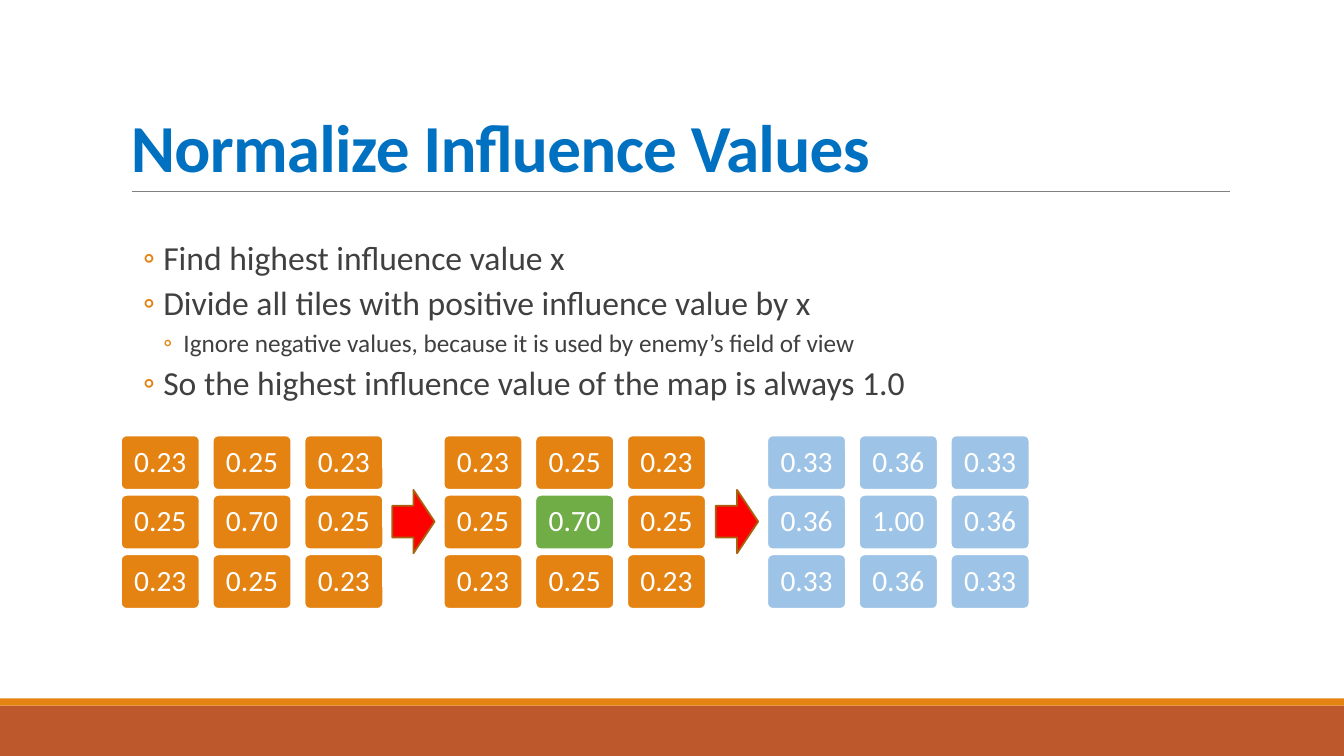
"""Build the slide that explains how influence values are normalized."""
from typing import NamedTuple

import pptx
import pptx.dml.color
import pptx.enum.shapes
import pptx.enum.text
import pptx.oxml
import pptx.oxml.ns
import pptx.util
from pptx.util import Inches

FONT = "Calibri"
ORANGE = "E48312"
RUST = "BD582C"
GREEN = "70AD47"
LIGHT_BLUE = "9DC3E6"
WHITE = "FFFFFF"

TILE_WIDTH, TILE_HEIGHT = 0.78, 0.54
COLUMN_STEP, ROW_STEP = 0.91, 0.59
GRID_TOP = 4.32


class Box(NamedTuple):
    left: float
    top: float
    width: float
    height: float


class Bullet(NamedTuple):
    text: str
    size: float = 24
    indent: float = 0.42


class Grid(NamedTuple):
    left: float
    corner: str
    edge: str
    center: str
    color: str
    center_color: str


BARS = [(Box(0, 7, 13.33, 0.5), RUST), (Box(0, 6.93, 13.33, 0.07), ORANGE)]
BULLETS = [
    Bullet("Find highest influence value x"),
    Bullet("Divide all tiles with positive influence value by x"),
    Bullet("Ignore negative values, because it is used by enemy’s field of view", 18, 0.62),
    Bullet("So the highest influence value of the map is always 1.0"),
]
GRIDS = [
    Grid(1.2, "0.23", "0.25", "0.70", ORANGE, ORANGE),
    Grid(4.4, "0.23", "0.25", "0.70", ORANGE, GREEN),
    Grid(7.61, "0.33", "0.36", "1.00", LIGHT_BLUE, LIGHT_BLUE),
]
ARROW_LEFTS = [3.89, 7.1]


def rgb(color: str) -> pptx.dml.color.RGBColor:
    """Turn a hex string into a colour."""
    return pptx.dml.color.RGBColor.from_string(color)


def add_run(paragraph, text: str, size: float, color: str, bold: bool = False):
    """Add one formatted run to a paragraph."""
    run = paragraph.add_run()
    run.text = text
    run.font.name = FONT
    run.font.size = pptx.util.Pt(size)
    run.font.bold = bold
    run.font.color.rgb = rgb(color)
    return run


def add_box(shapes, kind, box: Box, fill: str, line: str = ""):
    """Add a filled preset shape, outlined when a line colour is given."""
    shape = shapes.add_shape(kind, *map(Inches, box))
    shape.shadow.inherit = False
    shape.fill.solid()
    shape.fill.fore_color.rgb = rgb(fill)
    if line:
        shape.line.color.rgb = rgb(line)
        shape.line.width = pptx.util.Pt(1.25)
    else:
        shape.line.fill.background()
    return shape


def add_text_frame(slide, box: Box):
    """Add a wrapping text box and return its frame."""
    frame = slide.shapes.add_textbox(*map(Inches, box)).text_frame
    frame.word_wrap = True
    return frame


def add_title(slide) -> None:
    """Add the title and the rule under it."""
    rule = slide.shapes.add_connector(
        pptx.enum.shapes.MSO_CONNECTOR.STRAIGHT,
        Inches(1.31), Inches(1.9), Inches(12.2), Inches(1.9))
    rule.line.color.rgb = rgb("808080")
    rule.line.width = pptx.util.Pt(0.5)
    pptx.oxml.ns.qn("a:effectLst")
    rule._element.spPr.append(pptx.oxml.parse_xml(
        f'<a:effectLst {pptx.oxml.ns.nsdecls("a")}/>'))

    frame = add_text_frame(slide, Box(1.2, 0.31, 11, 1.59))
    frame.vertical_anchor = pptx.enum.text.MSO_ANCHOR.BOTTOM
    paragraph = frame.paragraphs[0]
    paragraph.line_spacing = 0.85
    run = add_run(paragraph, "Normalize Influence Values", 48, "0070C0", bold=True)
    run.font._element.set("spc", "-50")


def add_bullets(slide, bullets: list[Bullet]) -> None:
    """Add the bulleted body text."""
    frame = add_text_frame(slide, Box(1.2, 2.35, 11, 1.85))
    frame.margin_left = frame.margin_right = 0
    namespace = pptx.oxml.ns.nsdecls("a")
    for index, bullet in enumerate(bullets):
        paragraph = frame.add_paragraph() if index else frame.paragraphs[0]
        properties = paragraph._p.get_or_add_pPr()
        properties.set("marL", str(Inches(bullet.indent)))
        properties.set("indent", str(Inches(-0.2)))
        for element in (f'<a:buClr {namespace}><a:srgbClr val="{ORANGE}"/></a:buClr>',
                        f'<a:buFont {namespace} typeface="{FONT}"/>',
                        f'<a:buChar {namespace} char="◦"/>'):
            properties.append(pptx.oxml.parse_xml(element))
        paragraph.line_spacing = 0.9
        paragraph.space_before = pptx.util.Pt(2 if index else 0)
        paragraph.space_after = pptx.util.Pt(4)
        add_run(paragraph, bullet.text, bullet.size, "404040")


def add_tile(shapes, box: Box, text: str, fill: str) -> None:
    """Add one rounded tile with its centred value."""
    tile = add_box(shapes, pptx.enum.shapes.MSO_SHAPE.ROUNDED_RECTANGLE, box, fill, WHITE)
    tile.adjustments[0] = 0.1
    frame = tile.text_frame
    frame.margin_left = frame.margin_right = Inches(0.09)
    frame.vertical_anchor = pptx.enum.text.MSO_ANCHOR.MIDDLE
    paragraph = frame.paragraphs[0]
    paragraph.alignment = pptx.enum.text.PP_ALIGN.CENTER
    paragraph.line_spacing = 0.9
    add_run(paragraph, text, 21, WHITE)


def add_grid(slide, grid: Grid) -> None:
    """Add a three by three group of tiles."""
    group = slide.shapes.add_group_shape()
    values = (grid.center, grid.edge, grid.corner)
    for column in range(3):
        for row in range(3):
            distance = abs(column - 1) + abs(row - 1)
            box = Box(grid.left + column * COLUMN_STEP, GRID_TOP + row * ROW_STEP,
                      TILE_WIDTH, TILE_HEIGHT)
            color = grid.color if distance else grid.center_color
            add_tile(group.shapes, box, values[distance], color)


def main() -> None:
    """Build and save the presentation."""
    presentation = pptx.Presentation()
    presentation.slide_width = Inches(13.33)
    presentation.slide_height = Inches(7.5)
    slide = presentation.slides.add_slide(presentation.slide_layouts[6])
    for box, color in BARS:
        add_box(slide.shapes, pptx.enum.shapes.MSO_SHAPE.RECTANGLE, box, color)
    add_title(slide)
    add_bullets(slide, BULLETS)
    for grid in GRIDS:
        add_grid(slide, grid)
    for left in ARROW_LEFTS:
        add_box(slide.shapes, pptx.enum.shapes.MSO_SHAPE.RIGHT_ARROW,
                Box(left, 4.86, 0.42, 0.63), "FF0000", "A9610D")
    presentation.save("out.pptx")


if __name__ == "__main__":
    main()
